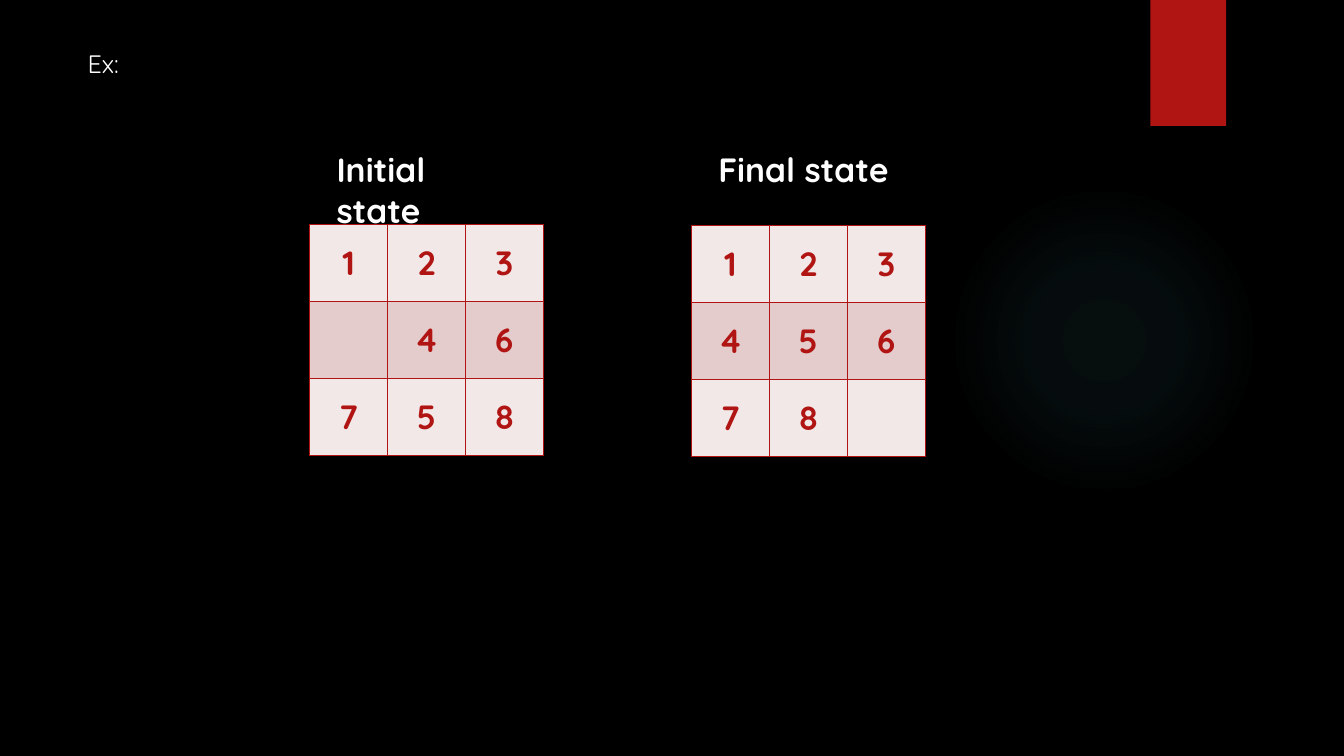
import pptx
import pptx.dml.color
import pptx.enum.shapes
import pptx.enum.text
import pptx.oxml
import pptx.oxml.ns
import pptx.util

Pt = pptx.util.Pt
SHAPES = pptx.enum.shapes.MSO_SHAPE
ALIGN = pptx.enum.text.PP_ALIGN
ANCHOR = pptx.enum.text.MSO_ANCHOR

FONT = "Quicksand"
RED, WHITE = "B01513", "FFFFFF"
BANDS = ["F2E8E7", "E4CCCC"]
SIDE, HIGH = 55.65, 55  # puzzle cell size

PUZZLES = [
    ("Initial state", 233.3, 221.2, 160.6, ["123", " 46", "758"]),
    ("Final state", 506, 494, 161, ["123", "456", "78 "]),
]


def color(code):
    return pptx.dml.color.RGBColor.from_string(code)


def style(font, code, size, bold=False):
    look = {"name": FONT, "size": Pt(size), "bold": bold}
    for key, value in look.items():
        setattr(font, key, value)
    font.color.rgb = color(code)


def place(shape, left, top, width, height):
    box = {"left": left, "top": top, "width": width, "height": height}
    for key, value in box.items():
        setattr(shape, key, Pt(value))


def write(shape, text, size, bold=False):
    frame = shape.text_frame
    look = {"text": text, "word_wrap": True, "vertical_anchor": ANCHOR.TOP,
            "auto_size": pptx.enum.text.MSO_AUTO_SIZE.NONE}
    for key, value in look.items():
        setattr(frame, key, value)
    line = frame.paragraphs[0]
    line.alignment = ALIGN.LEFT
    style(line.runs[0].font, WHITE, size, bold)


def label(slide, text, left, top, width, height):
    box = slide.shapes.add_textbox(Pt(left), Pt(top), Pt(width), Pt(height))
    write(box, text, 24, True)


def block(slide, kind, left, top, width, height):
    shape = slide.shapes.add_shape(
        kind, Pt(left), Pt(top), Pt(width), Pt(height))
    shape.shadow.inherit = False
    shape.line.fill.background()
    return shape


def glow(shape, code, stops):
    """Fill a shape with a radial fade; stops are (place, opacity) in percent."""
    marks = "".join(
        f'<a:gs pos="{pos * 1000}"><a:srgbClr val="{code}">'
        f'<a:alpha val="{alpha * 1000}"/></a:srgbClr></a:gs>'
        for pos, alpha in stops)
    fade = pptx.oxml.parse_xml(
        f'<a:gradFill {pptx.oxml.ns.nsdecls("a")}><a:gsLst>{marks}</a:gsLst>'
        '<a:path path="circle"><a:fillToRect l="50000" t="50000" r="50000" '
        'b="50000"/></a:path></a:gradFill>')
    shape.fill.background()
    old = shape.element.spPr.find(pptx.oxml.ns.qn("a:noFill"))
    shape.element.spPr.replace(old, fade)


def border(cell, code, width):
    props = cell._tc.get_or_add_tcPr()
    for side in "LRTB":
        props.append(pptx.oxml.parse_xml(
            f'<a:ln{side} {pptx.oxml.ns.nsdecls("a")} w="{Pt(width)}">'
            f'<a:solidFill><a:srgbClr val="{code}"/></a:solidFill>'
            f'</a:ln{side}>'))


def tile(cell, text, band):
    border(cell, RED, 1)
    cell.fill.solid()
    cell.fill.fore_color.rgb = color(band)
    cell.vertical_anchor = ANCHOR.MIDDLE
    cell.text = text.strip()
    line = cell.text_frame.paragraphs[0]
    line.alignment = ALIGN.CENTER
    for run in line.runs:
        style(run.font, RED, 24, True)


def puzzle(slide, left, top, rows):
    count = len(rows)
    grid = slide.shapes.add_table(
        count, count, Pt(left), Pt(top),
        Pt(SIDE * count), Pt(HIGH * count)).table
    grid.first_row = grid.horz_banding = False
    for col in grid.columns:
        col.width = Pt(SIDE)
    for r, row in enumerate(rows):
        grid.rows[r].height = Pt(HIGH)
        for c, text in enumerate(row):
            tile(grid.cell(r, c), text, BANDS[r % 2])


def main():
    deck = pptx.Presentation()
    deck.slide_width, deck.slide_height = Pt(960), Pt(540)
    slide = deck.slides.add_slide(deck.slide_layouts[5])
    slide.background.fill.solid()
    slide.background.fill.fore_color.rgb = color("000000")

    # Backdrop: soft glow and red tab
    disc = block(slide, SHAPES.OVAL, 677.5, 131.8, 221.8, 221.8)
    glow(disc, "50B9C1", [(0, 7), (36, 6), (69, 0)])
    tab = block(slide, SHAPES.RECTANGLE, 821.8, 0, 54, 90)
    tab.fill.solid()
    tab.fill.fore_color.rgb = color(RED)

    # Title
    title = slide.shapes.title
    place(title, 55.4, 31, 111.6, 29)
    write(title, "Ex:", 18)

    # The two puzzle states
    for name, start, left, top, rows in PUZZLES:
        label(slide, name, start, 103, 142.5, 36)
        puzzle(slide, left, top, rows)

    deck.save("out.pptx")


if __name__ == "__main__":
    main()
